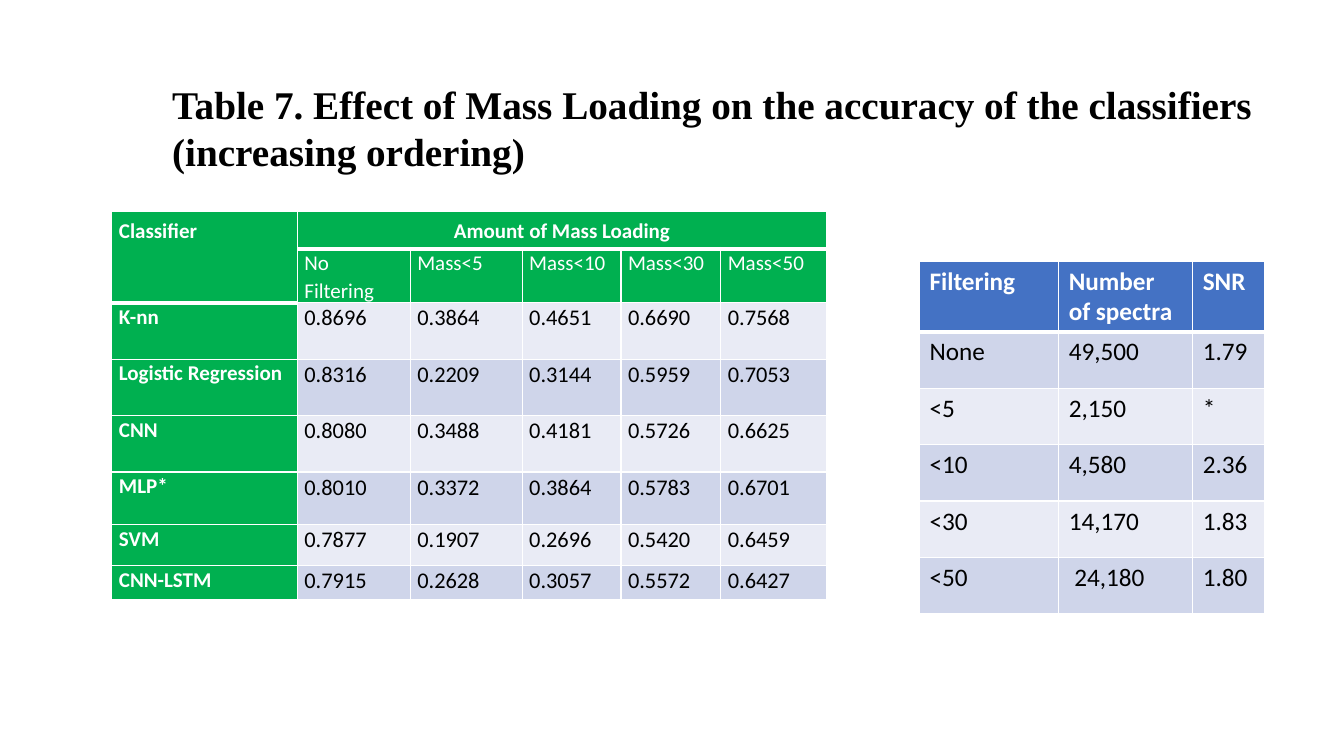
from lxml import etree
from pptx import Presentation
from pptx.dml.color import RGBColor
from pptx.enum.text import MSO_ANCHOR, PP_ALIGN
from pptx.oxml.ns import qn
from pptx.util import Inches, Pt

# Content
TITLE = "Table 7. Effect of Mass Loading on the accuracy of the classifiers (increasing ordering)"
ACCURACY = [
    ("Classifier", "Amount of Mass Loading", "", "", "", ""),
    ("", "No Filtering", "Mass<5", "Mass<10", "Mass<30", "Mass<50"),
    ("K-nn", "0.8696", "0.3864", "0.4651", "0.6690", "0.7568"),
    ("Logistic Regression", "0.8316", "0.2209", "0.3144", "0.5959", "0.7053"),
    ("CNN", "0.8080", "0.3488", "0.4181", "0.5726", "0.6625"),
    ("MLP*", "0.8010", "0.3372", "0.3864", "0.5783", "0.6701"),
    ("SVM", "0.7877", "0.1907", "0.2696", "0.5420", "0.6459"),
    ("CNN-LSTM", "0.7915", "0.2628", "0.3057", "0.5572", "0.6427"),
]
SPECTRA = [
    ("Filtering", "Number\vof spectra", "SNR"),
    ("None", "49,500", "1.79"),
    ("<5", "2,150", "*"),
    ("<10", "4,580", "2.36"),
    ("<30", "14,170", "1.83"),
    ("<50", " 24,180", "1.80"),
]

# Grid, in inches
ACCURACY_COLUMNS = [1.84, 1.12, 1.11, 0.98, 0.99, 1.05]
ACCURACY_ROWS = [0.36, 0.51, 0.56, 0.56, 0.56, 0.52, 0.41, 0.34]
SPECTRA_COLUMNS = [1.38, 1.33, 0.71]
SPECTRA_ROWS = [0.69] + [0.56] * 5

WHITE = RGBColor(0xFF, 0xFF, 0xFF)
BLACK = RGBColor(0, 0, 0)
GREEN = RGBColor(0x00, 0xB0, 0x50)
BLUE = RGBColor(0x44, 0x72, 0xC4)
BANDS = [RGBColor(0xCF, 0xD5, 0xEA), RGBColor(0xE9, 0xEB, 0xF5)]
CENTER, JUSTIFY, LEFT = PP_ALIGN.CENTER, PP_ALIGN.JUSTIFY, PP_ALIGN.LEFT
TOP = MSO_ANCHOR.TOP
THIN, THICK = 1, 3


def format_text(paragraph, font_name, size, color, bold):
    for run in paragraph.runs:
        run.font.name = font_name
        run.font.size = Pt(size)
        run.font.color.rgb = color
        run.font.bold = bold


def add_borders(cell, top, bottom):
    properties = cell._tc.get_or_add_tcPr()
    for side, width in (("L", THIN), ("R", THIN), ("T", top), ("B", bottom)):
        line = etree.SubElement(properties, qn(f"a:ln{side}"), w=str(Pt(width)))
        fill = etree.SubElement(line, qn("a:solidFill"))
        etree.SubElement(fill, qn("a:srgbClr"), val=str(WHITE))


def add_grid(slide, left, top, columns, rows):
    frame = slide.shapes.add_table(len(rows), len(columns), Inches(left), Inches(top),
                                   Inches(sum(columns)), Inches(sum(rows)))
    table = frame.table
    table.horz_banding = False
    for column, width in zip(table.columns, columns):
        column.width = Inches(width)
    for row, height in zip(table.rows, rows):
        row.height = Inches(height)
    return table


def fill_cell(cell, text, fill, size, color, bold, align=LEFT, top=THIN, bottom=THIN):
    add_borders(cell, top, bottom)
    cell.fill.solid()
    cell.fill.fore_color.rgb = fill
    cell.vertical_anchor = TOP
    cell.text_frame.text = text
    paragraph = cell.text_frame.paragraphs[0]
    paragraph.alignment = align
    format_text(paragraph, "Calibri", size, color, bold)


presentation = Presentation()
presentation.slide_width, presentation.slide_height = Inches(13.33), Inches(7.5)
slide = presentation.slides.add_slide(presentation.slide_layouts[6])

# Title
title = slide.shapes.add_textbox(Inches(1.61), Inches(0.75), Inches(11.03), Inches(1.04))
title.text_frame.word_wrap = True
title.text_frame.text = TITLE
format_text(title.text_frame.paragraphs[0], "Times New Roman", 28, BLACK, True)

# Accuracy table: two header rows and a header column
accuracy = add_grid(slide, 1.11, 2.1, ACCURACY_COLUMNS, ACCURACY_ROWS)
accuracy.cell(0, 0).merge(accuracy.cell(1, 0))
accuracy.cell(0, 1).merge(accuracy.cell(0, 5))
for r, values in enumerate(ACCURACY):
    for c, text in enumerate(values):
        cell = accuracy.cell(r, c)
        header = r < 2 or c == 0
        fill_cell(cell, text,
                  fill=GREEN if header else BANDS[(r + 1) % 2],
                  size=15 if header else 16,
                  color=WHITE if header else BLACK,
                  bold=r == 0 or c == 0,
                  align=CENTER if (r, c) == (0, 1) else JUSTIFY,
                  top=THICK if (r == 1 and c > 0) or (r, c) == (2, 0) else THIN,
                  bottom=THICK if r == 0 or (r, c) == (1, 0) else THIN)
        cell.margin_left = cell.margin_right = Inches(0.07)
        cell.margin_top = cell.margin_bottom = Inches(0.05 if r == 0 else 0)
        cell.text_frame.paragraphs[0].line_spacing = 1.07

# Spectra table: one header row
spectra = add_grid(slide, 9.12, 2.59, SPECTRA_COLUMNS, SPECTRA_ROWS)
for r, values in enumerate(SPECTRA):
    for c, text in enumerate(values):
        header = r == 0
        fill_cell(spectra.cell(r, c), text,
                  fill=BLUE if header else BANDS[(r - 1) % 2],
                  size=18,
                  color=WHITE if header else BLACK,
                  bold=header,
                  top=THICK if r == 1 else THIN,
                  bottom=THICK if header else THIN)

presentation.save("out.pptx")
